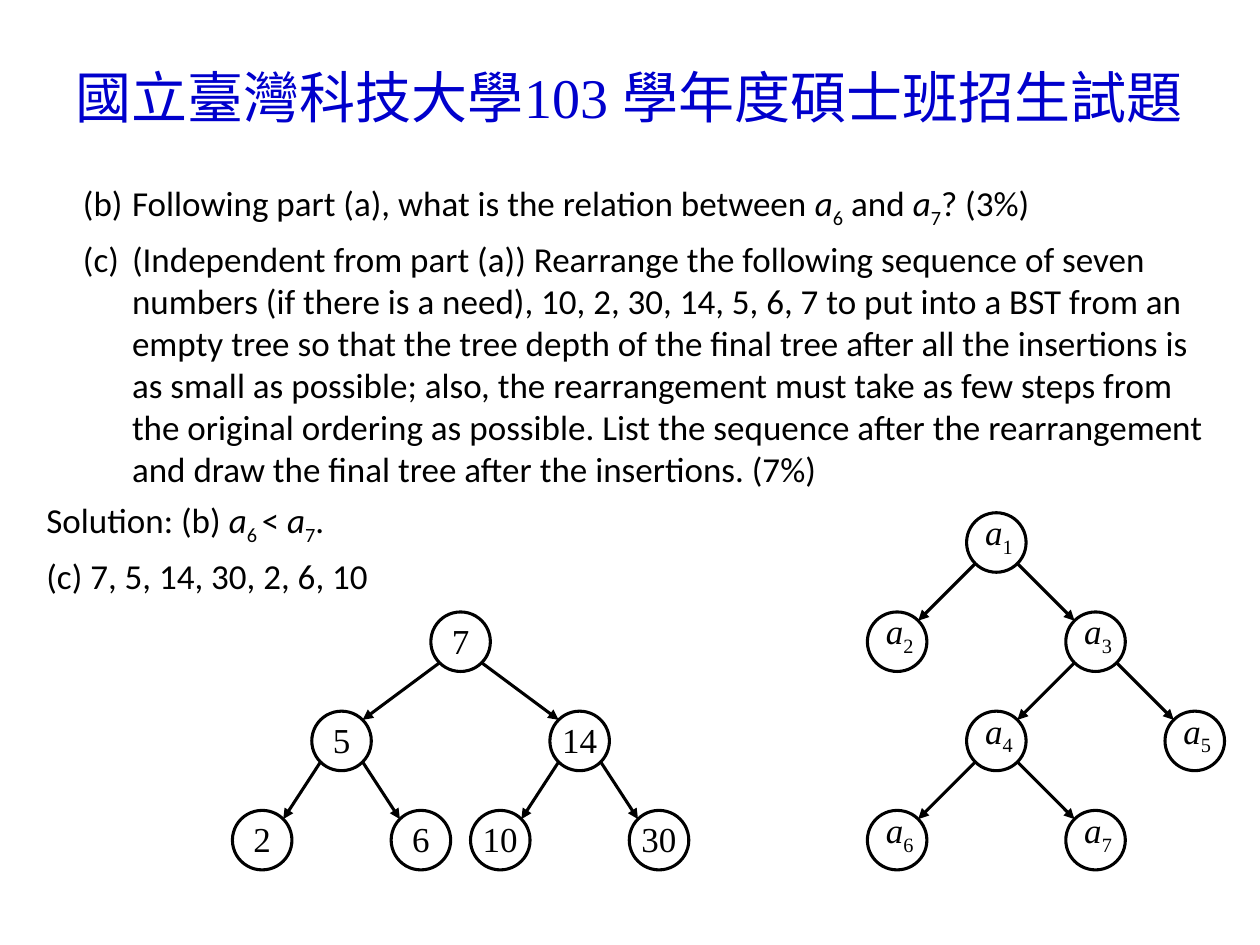
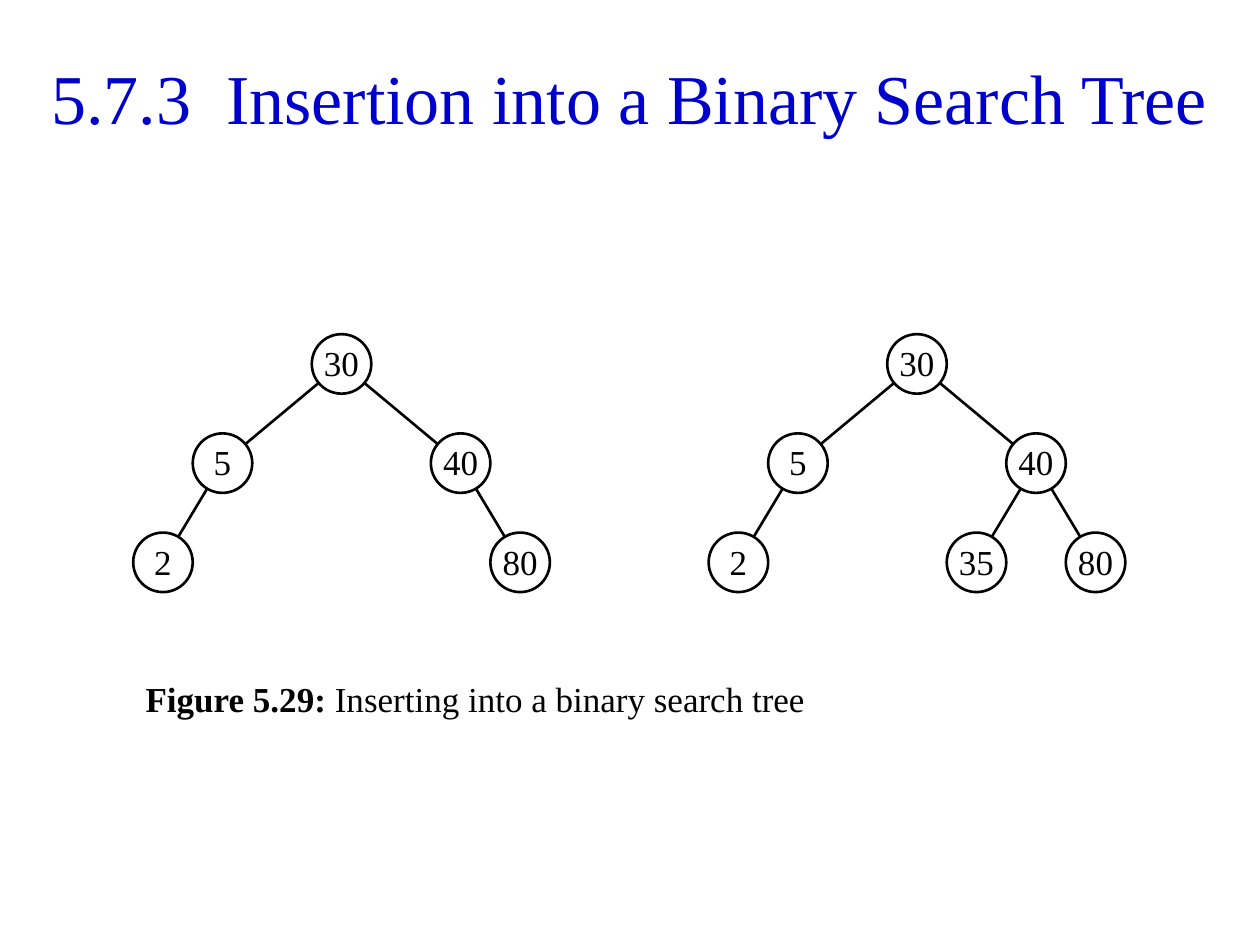
from dataclasses import dataclass
from math import sqrt

from lxml.etree import SubElement
from pptx import Presentation
from pptx.dml.color import RGBColor
from pptx.enum.shapes import MSO_CONNECTOR, MSO_SHAPE
from pptx.enum.text import MSO_ANCHOR, PP_ALIGN
from pptx.oxml.ns import qn
from pptx.util import Inches, Pt


@dataclass(frozen=True)
class Theme:
    """Colours, fonts and type sizes shared by the slides."""
    title: RGBColor = RGBColor(0x00, 0x00, 0xCC)
    ink: RGBColor = RGBColor(0x00, 0x00, 0x00)
    paper: RGBColor = RGBColor(0xFF, 0xFF, 0xFF)
    serif: str = "Times New Roman"
    sans: str = "Calibri"
    text_size: int = 20
    paragraph_gap: float = 4.8
    subscript: str = "-25000"


THEME = Theme()
WIDTH, HEIGHT = 10, 7.5
UNIT = WIDTH / 63.5            # one grid step, in inches
LEFT, TOP = 0.27, 0.29         # grid origin
NODE = 3                       # node diameter, in grid steps
TITLE_AREA = (0, 0, 60, 6)     # column, row, columns wide, rows high
QUESTION_AREA = (0, 7, 60, 35)
CAPTION_AREA = (5, 32, 35, 3)

# Spans are (text, style); styles: "" plain, "i" italic, "b" bold, "_" subscript.
QUESTION = [
    ("hanging", [("(b)\tFollowing part (a), what is the relation between ", ""),
                 ("a", "i"), ("6", "_"), (" and ", ""), ("a", "i"), ("7", "_"),
                 ("? (3%)", "")]),
    ("hanging", [("(c)\t(Independent from part (a)) Rearrange the following sequence of "
                  "seven numbers (if there is a need), 10, 2, 30, 14, 5, 6, 7 to put into "
                  "a BST from an empty tree so that the tree depth of the final tree after "
                  "all the insertions is as small as possible; also, the rearrangement "
                  "must take as few steps from the original ordering as possible. List the "
                  "sequence after the rearrangement and draw the final tree after the "
                  "insertions. (7%)", "")]),
    ("flush", [("Solution: (b) ", ""), ("a", "i"), ("6 ", "_"), ("< ", ""),
               ("a", "i"), ("7", "_"), (".", "")]),
    ("flush", [("(c) 7, 5, 14, 30, 2, 6, 10", "")]),
]
CAPTION = [("flush", [("Figure 5.29:", "b"),
                      (" Inserting into a binary search tree", "")])]

# Trees: label -> (column, row, parent label).
SYMBOL_TREE = {
    "a1": (47, 24, None), "a2": (42, 29, "a1"), "a3": (52, 29, "a1"),
    "a4": (47, 34, "a3"), "a5": (57, 34, "a3"),
    "a6": (42, 39, "a4"), "a7": (52, 39, "a4"),
}
ANSWER_TREE = {
    "7": (20, 29, None), "5": (14, 34, "7"), "14": (26, 34, "7"),
    "2": (10, 39, "5"), "6": (18, 39, "5"),
    "10": (22, 39, "14"), "30": (30, 39, "14"),
}
BEFORE_TREE = {
    "30": (14, 15, None), "5": (8, 20, "30"), "40": (20, 20, "30"),
    "2": (5, 25, "5"), "80": (23, 25, "40"),
}
AFTER_SHIFT = 29
AFTER_TREE = {label: (column + AFTER_SHIFT, row, parent)
              for label, (column, row, parent) in BEFORE_TREE.items()}
AFTER_TREE["35"] = (46, 25, "40")

SLIDES = [
    {"title": "國立臺灣科技大學103 學年度碩士班招生試題", "title_size": 32,
     "body": (QUESTION, QUESTION_AREA, THEME.sans),
     "trees": [SYMBOL_TREE, ANSWER_TREE], "arrows": True, "weight": 1.75},
    {"title": "5.7.3  Insertion into a Binary Search Tree", "title_size": 40,
     "body": (CAPTION, CAPTION_AREA, THEME.serif),
     "trees": [BEFORE_TREE, AFTER_TREE], "arrows": False, "weight": 1.5},
]


def place(column, row):
    """Return the slide position of a grid point."""
    return Inches(LEFT + column * UNIT), Inches(TOP + row * UNIT)


def extent(columns, rows):
    """Return the size of a grid area."""
    return Inches(columns * UNIT), Inches(rows * UNIT)


def apply(target, values):
    """Set attributes of an object from a dict."""
    for name, value in values.items():
        setattr(target, name, value)


def add_spans(para, spans, font, size, color):
    """Write styled spans into a paragraph."""
    for text, style in spans:
        span = para.add_run()
        span.text = text
        apply(span.font, {"name": font, "size": Pt(size),
                          "bold": style == "b", "italic": style == "i"})
        span.font.color.rgb = color
        if style == "_":
            span._r.get_or_add_rPr().set("baseline", THEME.subscript)


def add_title(page, text, size):
    """Add the centred title."""
    box = page.shapes.add_textbox(*place(*TITLE_AREA[:2]), *extent(*TITLE_AREA[2:]))
    apply(box.text_frame, {"word_wrap": True, "vertical_anchor": MSO_ANCHOR.MIDDLE})
    para = box.text_frame.paragraphs[0]
    para.alignment = PP_ALIGN.CENTER
    add_spans(para, [(text, "")], THEME.serif, size, THEME.title)


def add_body(page, paragraphs, area, font):
    """Add running text, with hanging indents where asked."""
    box = page.shapes.add_textbox(*place(*area[:2]), *extent(*area[2:]))
    frame = box.text_frame
    frame.word_wrap = True
    for index, (layout, spans) in enumerate(paragraphs):
        para = frame.add_paragraph() if index else frame.paragraphs[0]
        para.space_before = Pt(THEME.paragraph_gap)
        if layout == "hanging":
            properties = para._p.get_or_add_pPr()
            properties.set("marL", str(Inches(0.68)))
            properties.set("indent", str(Inches(-0.39)))
        add_spans(para, spans, font, THEME.text_size, THEME.ink)


def add_edge(page, parent, child, weight, arrow):
    """Join two nodes: rim to rim with an arrow, or centre to centre."""
    (x1, y1), (x2, y2) = [(column + NODE / 2, row + NODE / 2)
                          for column, row in (parent, child)]
    if arrow:
        rim = NODE / 2 / sqrt(2)
        side = rim if x2 > x1 else -rim
        x1, y1, x2, y2 = x1 + side, y1 + rim, x2 - side, y2 - rim
    edge = page.shapes.add_connector(MSO_CONNECTOR.STRAIGHT, *place(x1, y1), *place(x2, y2))
    edge.line.color.rgb = THEME.ink
    edge.line.width = Pt(weight)
    if arrow:
        SubElement(edge.line._get_or_add_ln(), qn("a:tailEnd"), type="triangle")
    SubElement(edge._element.spPr, qn("a:effectLst"))


def add_node(page, label, position, weight):
    """Add a labelled circle; a letter label gets a subscript index."""
    node = page.shapes.add_shape(MSO_SHAPE.OVAL, *place(*position), *extent(NODE, NODE))
    node.shadow.inherit = False
    node.fill.solid()
    node.fill.fore_color.rgb = THEME.paper
    node.line.color.rgb = THEME.ink
    node.line.width = Pt(weight)
    symbolic = label[0].isalpha()
    apply(node.text_frame, {
        "word_wrap": True, "vertical_anchor": MSO_ANCHOR.BOTTOM,
        "margin_left": Inches(0.04 if symbolic else 0), "margin_right": 0,
        "margin_top": 0, "margin_bottom": Inches(0.04 if symbolic else 0.01)})
    para = node.text_frame.paragraphs[0]
    para.alignment = PP_ALIGN.CENTER
    spans = [(label[0], "i"), (label[1:], "_")] if symbolic else [(label, "")]
    add_spans(para, spans, THEME.serif, THEME.text_size, THEME.ink)


def add_tree(page, tree, weight, arrows):
    """Draw the edges of a tree, then its nodes on top."""
    for column, row, parent in tree.values():
        if parent:
            add_edge(page, tree[parent][:2], (column, row), weight, arrows)
    for label, (column, row, _) in tree.items():
        add_node(page, label, (column, row), weight)


def build():
    """Build and save the deck."""
    deck = Presentation()
    apply(deck, {"slide_width": Inches(WIDTH), "slide_height": Inches(HEIGHT)})
    for content in SLIDES:
        page = deck.slides.add_slide(deck.slide_layouts[6])
        page.background.fill.solid()
        page.background.fill.fore_color.rgb = THEME.paper
        add_title(page, content["title"], content["title_size"])
        add_body(page, *content["body"])
        for tree in content["trees"]:
            add_tree(page, tree, content["weight"], content["arrows"])
    deck.save("out.pptx")


build()
